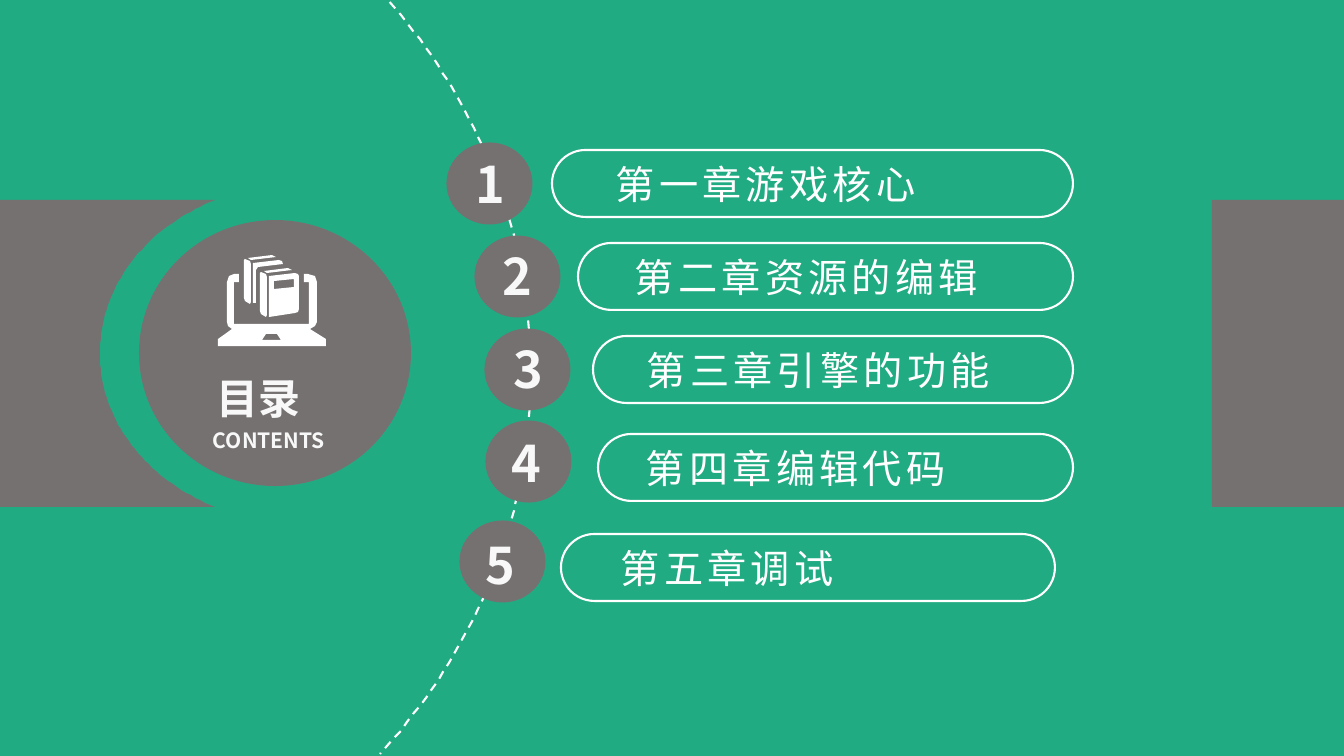
from lxml import etree
from pptx import Presentation
from pptx import util as u
from pptx.dml.color import RGBColor
from pptx.enum import dml, shapes, text
from pptx.oxml.ns import qn

PX = 914400 / 100.8
FONT = "Noto Sans CJK SC"
GREEN, GREY, WHITE, PALE = "21AB82", "767171", "FFFFFF", "F8F8F8"

# chapter name, badge (left, top), digit (left, top), pill (left, top, right), name left
CHAPTERS = [
    ("第一章游戏核心", (447, 143), (464, 147), (552, 150, 1073), 604),
    ("第二章资源的编辑", (475, 236), (491, 239), (578, 243, 1073), 623),
    ("第三章引擎的功能", (485, 329), (502, 332), (593, 336, 1073), 635),
    ("第四章编辑代码", (486, 421), (500, 426), (598, 434, 1073), 634),
    ("第五章调试", (460, 521), (474, 528), (561, 534, 1055), 609),
]

LAPTOP = [(234, 282), (239, 282), (239, 274), (234, 274), (229, 276), (227, 282),
          (227, 322), (228, 326), (232, 329), (218, 339), (218, 346), (326, 346),
          (326, 339), (310, 329), (315, 326), (317, 322), (317, 282), (315, 276),
          (308, 274), (304, 274), (304, 282), (309, 282), (309, 324), (234, 324)]
TOUCHPAD = [(266, 334), (277, 334), (281, 340), (262, 340)]
BACK_COVER = [(253, 263), (279, 260), (282, 261), (283, 264), (258, 267),
              (256, 270), (256, 303), (253, 303)]
FRONT_COVER = [(269, 276), (295, 273), (298, 274), (299, 276), (299, 309),
               (298, 312), (295, 313), (269, 317)]
COVER_LABEL = [(274, 281), (294, 279), (294, 287), (274, 289)]
BOOK_TOP = [(248, 258), (251, 260), (276, 257), (272, 255)]
BOOK_SPINE = [(245, 259), (250, 261), (251, 264), (251, 302), (250, 304),
              (245, 301), (244, 298), (244, 260)]
FRONT_BOOK_SHIFT = (16, 13)


def color(hex_value):
    """Turn a hex string into a colour."""
    return RGBColor.from_string(hex_value)


def emu(*pixels):
    """Scale pixels to EMU."""
    return [u.Emu(round(p * PX)) for p in pixels]


def paint(shape, fill=None, line=None, width=1.5):
    """Set fill and outline, and drop the shadow."""
    shape.shadow.inherit = False
    for part, value in ((shape.fill, fill), (shape.line.fill, line)):
        if value:
            part.solid()
            part.fore_color.rgb = color(value)
        else:
            part.background()
    if line:
        shape.line.width = u.Pt(width)
    return shape


def preset(slide, kind, box, **look):
    """Add a painted preset shape."""
    return paint(slide.shapes.add_shape(kind, *emu(*box)), **look)


def outline(slide, contours, closed=True, **look):
    """Add one painted freeform made of several contours."""
    builder = slide.shapes.build_freeform(*contours[0][0], scale=PX)
    for index, contour in enumerate(contours):
        if index:
            builder.move_to(*contour[0])
        builder.add_line_segments(contour[1:], close=closed)
    return paint(builder.convert_to_shape(), **look)


def curve(start, first, second, end, steps=40):
    """Return points along a cubic Bezier curve."""
    def at(t, axis):
        s = 1 - t
        return (s ** 3 * start[axis] + 3 * s * s * t * first[axis]
                + 3 * s * t * t * second[axis] + t ** 3 * end[axis])
    return [(at(i / steps, 0), at(i / steps, 1)) for i in range(steps + 1)]


def write(box, words, size, ink=PALE, bold=True, spacing=0, wrap=False,
          align=text.PP_ALIGN.LEFT):
    """Fill a text shape with one formatted run."""
    side, edge = emu(12, 6)
    frame = box.text_frame
    layout = {"margin_left": side, "margin_right": side, "margin_top": edge,
              "margin_bottom": edge, "word_wrap": wrap,
              "vertical_anchor": text.MSO_ANCHOR.TOP,
              "auto_size": text.MSO_AUTO_SIZE.SHAPE_TO_FIT_TEXT}
    for name, value in layout.items():
        setattr(frame, name, value)
    paragraph = frame.paragraphs[0]
    paragraph.alignment = align
    run = paragraph.add_run()
    run.text = words
    run.font.color.rgb = color(ink)
    for name, value in {"size": u.Pt(size), "bold": bold, "name": FONT}.items():
        setattr(run.font, name, value)
    properties = run._r.get_or_add_rPr()
    properties.set("spc", str(spacing * 100))
    etree.SubElement(properties, qn("a:ea")).set("typeface", FONT)


def label(slide, box, words, size, **look):
    """Add a text box."""
    write(slide.shapes.add_textbox(*emu(*box)), words, size, **look)


def backdrop(slide):
    """Draw the side bands and the dashed arc."""
    slide.background.fill.solid()
    slide.background.fill.fore_color.rgb = color(GREEN)
    preset(slide, shapes.MSO_SHAPE.RECTANGLE, (1212, 200, 132, 307), fill=GREY)
    notch = (curve((215, 200), (147, 227), (100, 285), (100, 354))
             + curve((100, 354), (100, 421), (147, 480), (215, 507))[1:])
    outline(slide, [notch + [(0, 507), (0, 200)]], fill=GREY)
    arc = (curve((380, -9), (474, 94), (531, 227), (531, 373))
           + curve((531, 373), (531, 519), (474, 652), (380, 754))[1:])
    dashed = outline(slide, [arc], closed=False, line=WHITE)
    dashed.line.dash_style = dml.MSO_LINE.DASH


def chapter(slide, number, name, badge, digit, pill, name_left):
    """Draw one numbered chapter entry."""
    left, top, right = pill
    preset(slide, shapes.MSO_SHAPE.OVAL, (*badge, 85, 81),
           fill=GREY, line=GREY, width=0.75)
    capsule = preset(slide, shapes.MSO_SHAPE.ROUNDED_RECTANGLE,
                     (left, top, right - left, 67), line=WHITE)
    capsule.adjustments[0] = 0.5
    label(slide, (name_left, top + 4, 43 * len(name) + 27, 62), name, 28,
          ink=WHITE, bold=False, spacing=3)
    label(slide, (*digit, 55, 73), str(number), 36)


def library_icon(slide):
    """Draw the laptop with two books."""
    dx, dy = FRONT_BOOK_SHIFT
    book = [BOOK_TOP, BOOK_SPINE]
    front = [[(x + dx, y + dy) for x, y in part] for part in book]
    outline(slide, [TOUCHPAD, *book, *front, FRONT_COVER, COVER_LABEL,
                    BACK_COVER, LAPTOP], fill=WHITE)


def heading(slide):
    """Draw the title disc with its icon and words."""
    preset(slide, shapes.MSO_SHAPE.OVAL, (139, 220, 272, 266), fill=GREY)
    library_icon(slide)
    title = slide.shapes.title
    title.left, title.top, title.width, title.height = emu(205, 367, 134, 63)
    write(title, "目录", 30, wrap=True, align=text.PP_ALIGN.JUSTIFY)
    title.element.getparent().append(title.element)  # bring above the disc
    label(slide, (201, 422, 143, 37), "CONTENTS", 15)


def main():
    """Build and save the contents slide."""
    deck = Presentation()
    deck.slide_width, deck.slide_height = emu(1344, 756)
    slide = deck.slides.add_slide(deck.slide_layouts[5])
    backdrop(slide)
    for number, entry in enumerate(CHAPTERS, 1):
        chapter(slide, number, *entry)
    heading(slide)
    deck.save("out.pptx")


main()
